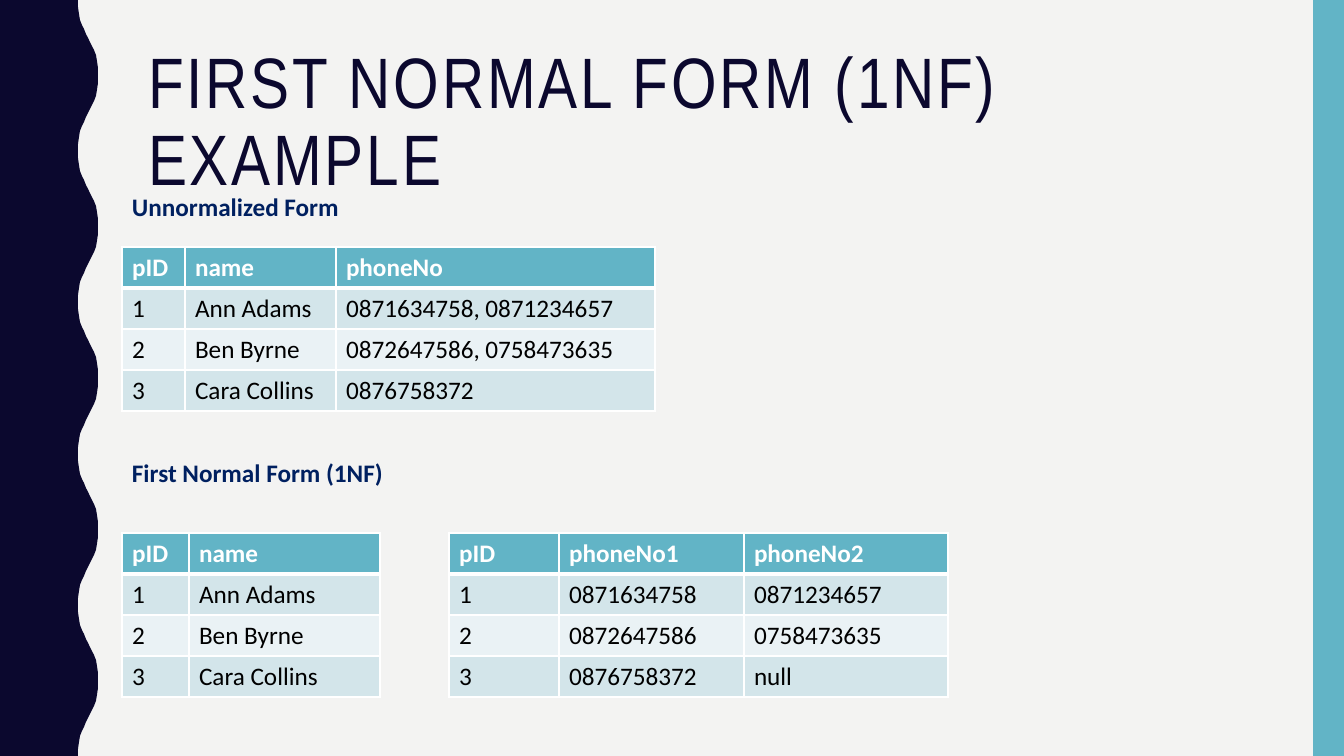
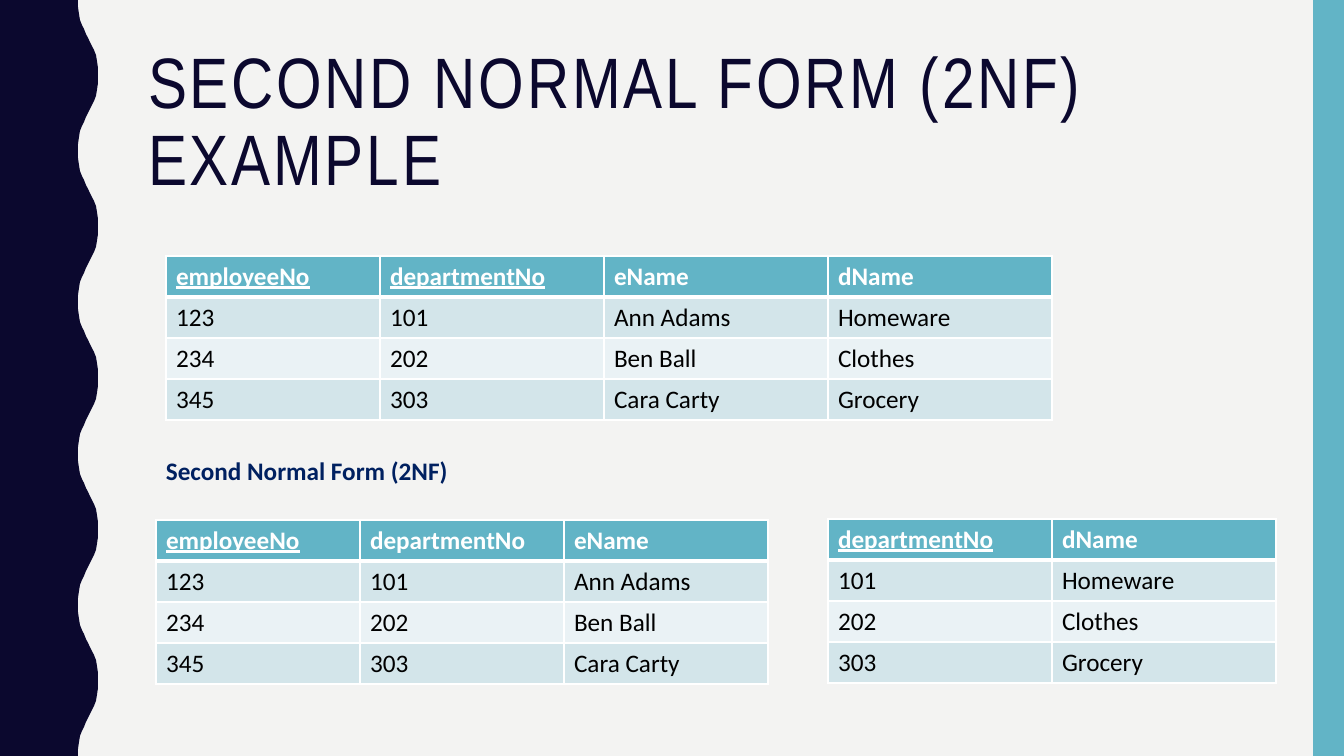
from dataclasses import dataclass

from lxml import etree
from pptx import Presentation
from pptx.dml.color import RGBColor
from pptx.enum.shapes import MSO_SHAPE
from pptx.enum.text import MSO_ANCHOR, MSO_AUTO_SIZE, PP_ALIGN
from pptx.oxml.ns import qn
from pptx.util import Pt

RECT = MSO_SHAPE.RECTANGLE
MIDDLE = MSO_ANCHOR.MIDDLE
LEFT = PP_ALIGN.LEFT
GROW, FIXED = MSO_AUTO_SIZE.SHAPE_TO_FIT_TEXT, MSO_AUTO_SIZE.NONE

# Content: labels are (text, left, top, width); "keys" counts underlined columns.
SLIDES = [
    {
        "title": "FIRST NORMAL FORM (1NF) EXAMPLE",
        "labels": [
            ("Unnormalized Form", 122, 186, 264),
            ("First Normal Form (1NF)", 122, 452, 326),
        ],
        "tables": [
            {"at": (122, 247), "cols": (63, 151, 319), "keys": 0, "rows": [
                ("pID", "name", "phoneNo"),
                ("1", "Ann Adams", "0871634758, 0871234657"),
                ("2", "Ben Byrne", "0872647586, 0758473635"),
                ("3", "Cara Collins", "0876758372")]},
            {"at": (122, 533), "cols": (67, 191), "keys": 0, "rows": [
                ("pID", "name"),
                ("1", "Ann Adams"),
                ("2", "Ben Byrne"),
                ("3", "Cara Collins")]},
            {"at": (449, 533), "cols": (110, 185, 204), "keys": 0, "rows": [
                ("pID", "phoneNo1", "phoneNo2"),
                ("1", "0871634758", "0871234657"),
                ("2", "0872647586", "0758473635"),
                ("3", "0876758372", "null")]},
        ],
    },
    {
        "title": "SECOND NORMAL FORM (2NF) EXAMPLE",
        "labels": [("Second Normal Form (2NF)", 156, 450, 358)],
        "tables": [
            {"at": (166, 256), "cols": (214, 224, 224, 224), "keys": 2, "rows": [
                ("employeeNo", "departmentNo", "eName", "dName"),
                ("123", "101", "Ann Adams", "Homeware"),
                ("234", "202", "Ben Ball", "Clothes"),
                ("345", "303", "Cara Carty", "Grocery")]},
            {"at": (156, 520), "cols": (204, 204, 204), "keys": 1, "rows": [
                ("employeeNo", "departmentNo", "eName"),
                ("123", "101", "Ann Adams"),
                ("234", "202", "Ben Ball"),
                ("345", "303", "Cara Carty")]},
            {"at": (828, 519), "cols": (224, 224), "keys": 1, "rows": [
                ("departmentNo", "dName"),
                ("101", "Homeware"),
                ("202", "Clothes"),
                ("303", "Grocery")]},
        ],
    },
]


@dataclass(frozen=True)
class Theme:
    """Colours, fonts and type sizes of the deck."""
    back: str = "F3F3F2"
    dark: str = "0B082E"
    teal: str = "62B4C6"
    odd: str = "D3E5EA"
    even: str = "EAF2F5"
    label: str = "002060"
    white: str = "FFFFFF"
    black: str = "000000"
    head: str = "Arial Narrow"
    body: str = "Calibri"
    big: int = 51
    small: int = 18
    thin: int = 1
    thick: int = 3


THEME = Theme()
SCALE = 914400 / 100.8
WIDE, HIGH = 1344, 756
TITLE = (138, 42, 1122, 164)
EDGE = 31
ROW, LABEL = 41, 40
WAVES = 5
# Half of one wave, from trough to crest.
HALF = [(78, 0), (78, 7), (79, 14), (80, 20), (82, 25), (84, 29), (86, 34),
        (88, 38), (90, 42), (92, 46), (94, 50), (96, 55), (97, 61), (98, 68)]


def px(*sizes):
    """Turn pixels into a list of EMU."""
    return [round(size * SCALE) for size in sizes]


def paint(fill, color):
    """Make a fill solid."""
    fill.solid()
    fill.fore_color.rgb = RGBColor.from_string(color)


def write(frame, text, *, size=THEME.small, font=THEME.body, color=THEME.black,
          bold=False, under=False, space=0, line=None):
    """Put one formatted run of text into a frame."""
    para = frame.paragraphs[0]
    para.alignment = LEFT
    para.line_spacing = line
    run = para.add_run()
    run.text = text
    face = run.font
    face.name, face.size = font, Pt(size)
    face.bold, face.underline = bold, under
    face.color.rgb = RGBColor.from_string(color)
    if space:
        face._element.set("spc", str(space * 100))


def wave():
    """List the points of the wavy band, mirroring each half wave."""
    step = HIGH / WAVES
    points = []
    for num in range(WAVES):
        top = num * step
        points += [(x, top + y) for x, y in HALF]
        points += [(x, top + step - y) for x, y in reversed(HALF[1:])]
    return points + [(HALF[0][0], HIGH), (0, HIGH)]


def dress(slide, layout):
    """Draw the side bands and move them to the shared layout."""
    pen = slide.shapes.build_freeform(0, 0, scale=SCALE)
    pen.add_line_segments(wave(), close=True)
    band = pen.convert_to_shape()
    edge = slide.shapes.add_shape(RECT, *px(WIDE - EDGE, 0, EDGE, HIGH))
    for spot, (shape, color) in enumerate([(band, THEME.dark), (edge, THEME.teal)]):
        shape.shadow.inherit = False
        paint(shape.fill, color)
        shape.line.fill.background()
        layout.shapes.element.insert(2 + spot, shape.element)


def border(cell, top, base):
    """Give a cell white borders, with its own top and base widths."""
    props = cell._tc.get_or_add_tcPr()
    sides = {"lnL": THEME.thin, "lnR": THEME.thin, "lnT": top, "lnB": base}
    for spot, (side, width) in enumerate(sides.items()):
        line = etree.Element(qn("a:" + side), w=str(Pt(width)))
        fill = etree.SubElement(line, qn("a:solidFill"))
        etree.SubElement(fill, qn("a:srgbClr"), val=THEME.white)
        props.insert(spot, line)


def add_title(slide, text):
    """Place and format the slide title."""
    shape = slide.shapes.title
    shape.left, shape.top, shape.width, shape.height = px(*TITLE)
    frame = shape.text_frame
    frame.word_wrap, frame.auto_size = True, FIXED
    frame.vertical_anchor = MIDDLE
    write(frame, text, size=THEME.big, font=THEME.head, color=THEME.dark,
          space=2, line=0.9)


def add_label(slide, text, left, top, width):
    """Add a bold caption."""
    frame = slide.shapes.add_textbox(*px(left, top, width, LABEL)).text_frame
    frame.word_wrap, frame.auto_size = False, GROW
    write(frame, text, color=THEME.label, bold=True)


def add_grid(slide, at, cols, keys, rows):
    """Add a banded table with a header row."""
    size = px(*at, sum(cols), ROW * len(rows))
    grid = slide.shapes.add_table(len(rows), len(cols), *size).table
    for col, width in zip(grid.columns, px(*cols)):
        col.width = width
    for r, row in enumerate(rows):
        head = r == 0
        back = THEME.teal if head else THEME.odd if r % 2 else THEME.even
        for c, text in enumerate(row):
            cell = grid.cell(r, c)
            paint(cell.fill, back)
            border(cell, THEME.thick if r == 1 else THEME.thin,
                   THEME.thick if head else THEME.thin)
            write(cell.text_frame, text, bold=head, under=head and c < keys,
                  color=THEME.white if head else THEME.black)


def main():
    """Build and save the deck."""
    deck = Presentation()
    deck.slide_width, deck.slide_height = px(WIDE, HIGH)
    paint(deck.slide_master.background.fill, THEME.back)
    layout = deck.slide_layouts.get_by_name("Title Only")
    for num, data in enumerate(SLIDES):
        slide = deck.slides.add_slide(layout)
        if num == 0:
            dress(slide, layout)
        add_title(slide, data["title"])
        for table in data["tables"]:
            add_grid(slide, **table)
        for label in data["labels"]:
            add_label(slide, *label)
    deck.save("out.pptx")


main()
